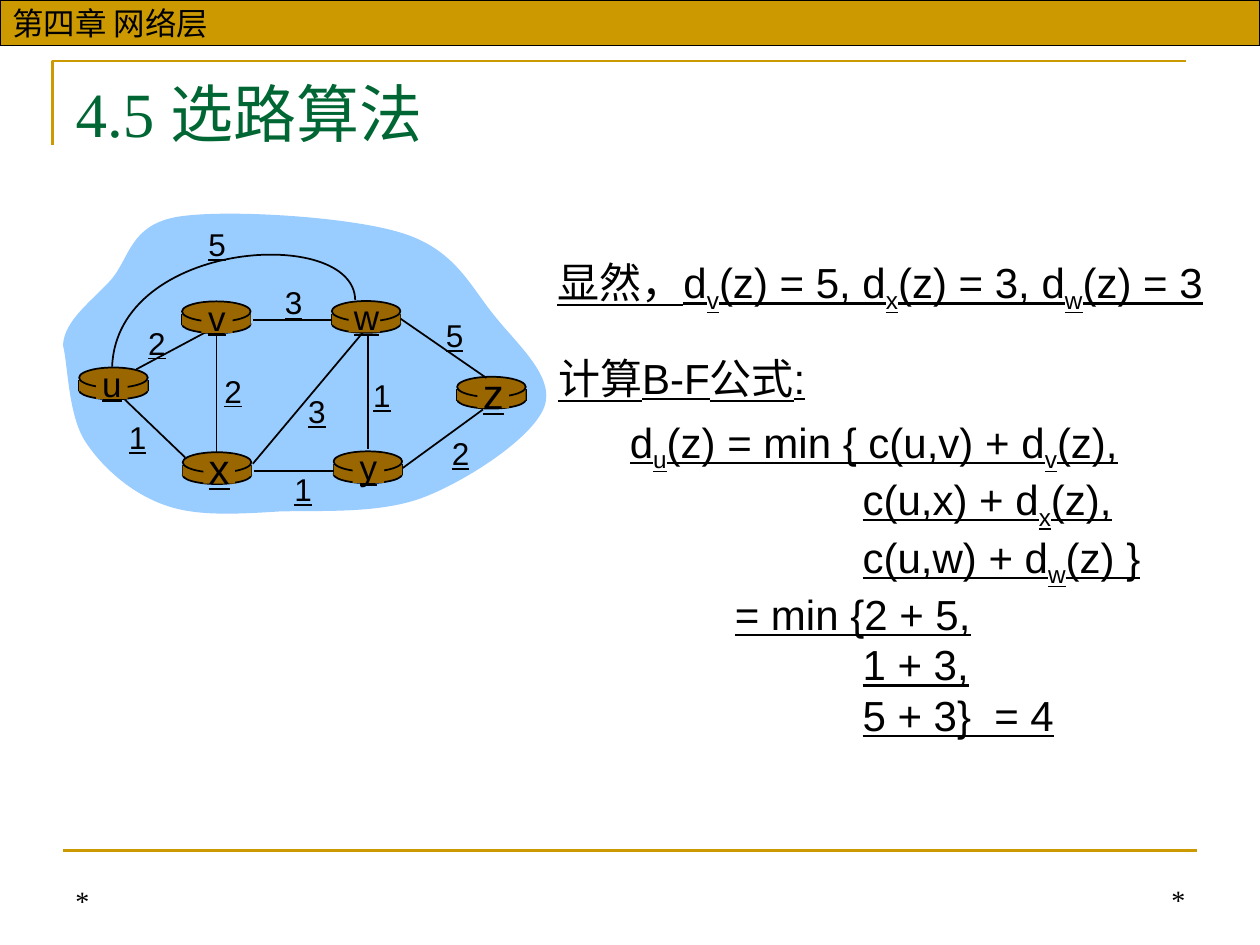
from dataclasses import dataclass
from typing import NamedTuple

from lxml.etree import SubElement
from pptx import Presentation
from pptx.dml.color import RGBColor
from pptx.enum.shapes import MSO_CONNECTOR, MSO_SHAPE
from pptx.enum.text import MSO_ANCHOR, PP_ALIGN
from pptx.oxml.ns import qn
from pptx.util import Pt


@dataclass(frozen=True)
class Theme:
    gold: str = "CC9900"
    green: str = "006633"
    cloud: str = "99CCFF"
    router: str = "996600"
    ink: str = "000000"
    sans: str = "Arial"
    serif: str = "Times New Roman"
    title: int = 36
    formula: int = 24
    label: int = 18
    footer: int = 16


class Point(NamedTuple):
    x: float
    y: float


class Router(NamedTuple):
    name: str
    x: float
    y: float
    size: int
    middle: float  # centre of the name


class Cost(NamedTuple):
    text: str
    x: float
    y: float


class Edge(NamedTuple):
    start: Point
    end: Point


THEME = Theme()
ROUTER_WIDTH = 39.2

ROUTERS = [
    Router("u", 45.2, 210, 20, 64),
    Router("x", 104.4, 258.4, 24, 125.2),
    Router("v", 104, 172.2, 20, 124),
    Router("w", 189.6, 172, 20, 208.2),
    Router("y", 190.6, 257.9, 20, 210.5),
    Router("z", 261.2, 215.3, 24, 281.8),
]
EDGE_UV = Edge(Point(78, 211), Point(121, 188))
EDGES = [
    Edge(Point(210.2, 191.2), Point(210.2, 256.6)),  # w-y
    Edge(Point(123.7, 192), Point(123.7, 259)),  # v-x
    Edge(Point(144.5, 265), Point(207.4, 190)),  # x-w
    Edge(Point(230.2, 267.4), Point(276, 234)),  # y-z
    Edge(Point(190.8, 269.2), Point(145.2, 269.2)),  # y-x
    Edge(Point(105.8, 261.4), Point(71.2, 228.2)),  # x-u
    Edge(Point(190, 182.9), Point(144.5, 182.9)),  # w-v
    Edge(Point(278, 216), Point(229, 182.2)),  # z-w
]
COSTS = [
    Cost("2", 77.4, 181.4), Cost("2", 121, 208.8), Cost("1", 66.4, 235.4),
    Cost("3", 168.9, 220.3), Cost("1", 161, 265), Cost("1", 206, 211.3),
    Cost("2", 251, 244.4), Cost("5", 247.5, 177.1), Cost("3", 155.5, 158.4),
    Cost("5", 111.8, 125),
]
# Each curve: a start point, then triples of two controls and an end
CLOUD = [
    (36, 197.3), (36.7, 183), (52.6, 172), (63.4, 160), (74.2, 147.6), (74.2, 128.2),
    (102.2, 123.8), (129.6, 119.5), (200.2, 123.8), (229.7, 133.2), (260, 142.6),
    (268.6, 163.4), (282.2, 180), (295.2, 196.6), (317.5, 215.3), (311, 232.6),
    (304.6, 249.8), (268.6, 273.6), (243.4, 283.7), (218.2, 293.8), (185, 291.6),
    (159.8, 292.3), (135.4, 293.8), (112.3, 295.2), (94.3, 288.7), (75.6, 282.2),
    (59, 267.8), (49, 252.7), (38.9, 237.6), (38.9, 208.8), (36, 197.3),
]
ARC_UW = [(203, 171.4), (202.3, 128.9), (67, 136.8), (64.1, 209.5)]
FORMULA = [
    "d_u(z) = min { c(u,v) + d_v(z),",
    "\t\tc(u,x) + d_x(z),",
    "\t\tc(u,w) + d_w(z) }",
    "\t= min {2 + 5,",
    "\t\t1 + 3,",
    "\t\t5 + 3}  = 4",
]


def rgb(colour: str) -> RGBColor:
    return RGBColor.from_string(colour)


def write(frame, *lines: str, size: int, font: str = THEME.sans, colour: str = THEME.ink,
          align=PP_ALIGN.LEFT, anchor=MSO_ANCHOR.TOP, underline: bool = False,
          wrap: bool = True, tabs: tuple = ()) -> None:
    """Fill a text frame; the letter after each underscore becomes a subscript."""
    frame.word_wrap = wrap
    frame.vertical_anchor = anchor
    for index, line in enumerate(lines):
        paragraph = frame.paragraphs[0] if index == 0 else frame.add_paragraph()
        paragraph.alignment = align
        if tabs:
            stops = SubElement(paragraph._p.get_or_add_pPr(), qn("a:tabLst"))
            for stop in tabs:
                SubElement(stops, qn("a:tab"), pos=str(Pt(stop)), algn="l")
        first, *rest = line.split("_")
        pieces = [(first, False)]
        for part in rest:
            pieces += [(part[0], True), (part[1:], False)]
        for piece, lowered in pieces:
            run = paragraph.add_run()
            run.text = piece
            run.font.size = Pt(size)
            run.font.name = font
            run.font.color.rgb = rgb(colour)
            run.font.underline = underline
            if lowered:
                run._r.get_or_add_rPr().set("baseline", "-25000")


def add_text(slide, x: float, y: float, width: float, height: float, *lines: str, **style) -> None:
    box = slide.shapes.add_textbox(Pt(x), Pt(y), Pt(width), Pt(height))
    write(box.text_frame, *lines, **style)


def paint(shape, fill: str | None, line: str | None, weight: float = 1) -> None:
    shape.shadow.inherit = False
    if fill:
        shape.fill.solid()
        shape.fill.fore_color.rgb = rgb(fill)
    else:
        shape.fill.background()
    if line:
        shape.line.color.rgb = rgb(line)
        shape.line.width = Pt(weight)
    else:
        shape.line.fill.background()


def add_preset(slide, kind, x: float, y: float, width: float, height: float,
               fill: str, line: str | None = None, weight: float = 1):
    shape = slide.shapes.add_shape(kind, Pt(x), Pt(y), Pt(width), Pt(height))
    paint(shape, fill, line, weight)
    return shape


def add_line(slide, edge: Edge, colour: str = THEME.ink, weight: float = 1) -> None:
    ends = [Pt(value) for point in edge for value in point]
    connector = slide.shapes.add_connector(MSO_CONNECTOR.STRAIGHT, *ends)
    connector.line.color.rgb = rgb(colour)
    connector.line.width = Pt(weight)
    SubElement(connector._element.spPr, qn("a:effectLst"))


def add_outline(slide, points: list, fill: str | None, line: str | None,
                weight: float = 1, curved: bool = False) -> None:
    """Draw a path; when curved, each three points after the start make a Bezier segment."""
    start, *rest = [(Pt(x), Pt(y)) for x, y in points]
    builder = slide.shapes.build_freeform(*start)
    builder.add_line_segments(rest, close=fill is not None)
    shape = builder.convert_to_shape()
    if curved:
        segments = list(shape._element.iter(qn("a:lnTo")))
        for i in range(0, len(segments), 3):
            bezier = segments[i]
            bezier.tag = qn("a:cubicBezTo")
            for follower in segments[i + 1:i + 3]:
                bezier.append(follower[0])
                follower.getparent().remove(follower)
    paint(shape, fill, line, weight)


def draw_router(slide, router: Router) -> None:
    x, y = router.x, router.y
    add_preset(slide, MSO_SHAPE.OVAL, x, y + 8, ROUTER_WIDTH, 10.2, THEME.router, THEME.ink)
    for side in (x, x + ROUTER_WIDTH):
        add_line(slide, Edge(Point(side, y + 7.2), Point(side, y + 13.6)))
    add_preset(slide, MSO_SHAPE.RECTANGLE, x, y + 7.2, ROUTER_WIDTH, 6.4, THEME.router)
    add_preset(slide, MSO_SHAPE.OVAL, x, y, ROUTER_WIDTH, 11.6, THEME.router, THEME.ink)


def draw_router_name(slide, router: Router) -> None:
    height = router.size * 1.2 + 7.2
    add_preset(slide, MSO_SHAPE.RECTANGLE, router.middle - 9, router.y + 1.4, 18, 16.6,
               THEME.router)
    add_text(slide, router.middle - 13, router.y + 9 - height / 2, 26, height, router.name,
             size=router.size, align=PP_ALIGN.CENTER, underline=True, wrap=False)


def main() -> None:
    deck = Presentation()
    deck.slide_width, deck.slide_height = Pt(720), Pt(540)
    slide = deck.slides.add_slide(deck.slide_layouts[5])

    # Page frame and chapter bar
    add_outline(slide, [(30, 82.8), (30, 34.8), (678, 34.8)], None, THEME.gold, 1.5)
    add_line(slide, Edge(Point(36, 486), Point(684, 486)), THEME.gold, 1.5)
    chapter = add_preset(slide, MSO_SHAPE.RECTANGLE, 0, 0, 720, 26, THEME.gold, THEME.ink, 0.75)
    write(chapter.text_frame, "第四章 网络层", size=THEME.label, anchor=MSO_ANCHOR.MIDDLE)

    # Title and footer marks
    title = slide.shapes.title
    title.left, title.top, title.width, title.height = Pt(36), Pt(39), Pt(648), Pt(55.4)
    write(title.text_frame, "4.5 选路算法", size=THEME.title, font=THEME.serif, colour=THEME.green)
    for x, y, width, align in ((36, 491.8, 168, PP_ALIGN.LEFT), (456.4, 491, 228, PP_ALIGN.RIGHT)):
        add_text(slide, x, y, width, 36, "*", size=THEME.footer, font=THEME.serif,
                 align=align, anchor=MSO_ANCHOR.BOTTOM)

    # Network graph
    add_outline(slide, CLOUD, THEME.cloud, None, curved=True)
    add_line(slide, EDGE_UV)
    for router in ROUTERS:
        draw_router(slide, router)
    for edge in EDGES:
        add_line(slide, edge)
    add_outline(slide, ARC_UW, None, THEME.ink, curved=True)
    for router in ROUTERS:
        draw_router_name(slide, router)
    for cost in COSTS:
        add_text(slide, cost.x, cost.y, 24.5, 28.8, cost.text, size=THEME.label,
                 align=PP_ALIGN.CENTER, underline=True, wrap=False)

    # Bellman-Ford calculation
    formula_style = {"size": THEME.formula, "underline": True}
    add_text(slide, 311.5, 143.3, 396, 40, "显然，d_v(z) = 5, d_x(z) = 3, d_w(z) = 3", **formula_style)
    add_text(slide, 352.8, 234.4, 306, 192, *FORMULA, tabs=(60, 133), **formula_style)
    add_text(slide, 311.8, 198, 173, 36, "计算B-F公式:", **formula_style)

    deck.save("out.pptx")


if __name__ == "__main__":
    main()
